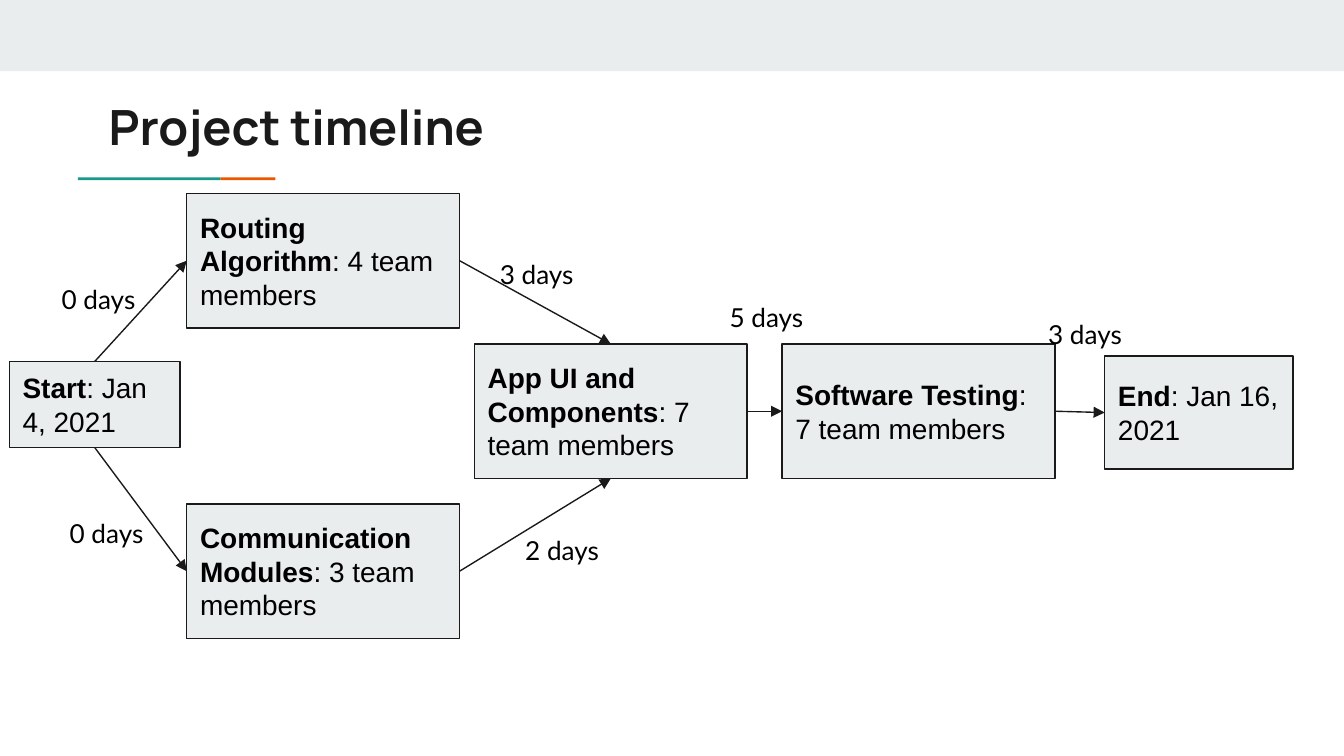
"""Build the project timeline slide: task boxes linked by arrows with durations."""
from dataclasses import dataclass

from lxml import etree
from pptx import Presentation
from pptx.dml.color import RGBColor
from pptx.enum.shapes import MSO_CONNECTOR, MSO_SHAPE
from pptx.enum.text import MSO_ANCHOR, PP_ALIGN
from pptx.oxml.ns import qn
from pptx.shapes.autoshape import Shape
from pptx.slide import Slide
from pptx.util import Inches, Pt

RECTANGLE = MSO_SHAPE.RECTANGLE
STRAIGHT = MSO_CONNECTOR.STRAIGHT
TOP_ANCHOR = MSO_ANCHOR.TOP
MIDDLE_ANCHOR = MSO_ANCHOR.MIDDLE
ALIGN_LEFT = PP_ALIGN.LEFT
TOP, LEFT, BOTTOM, RIGHT = range(4)

COLORS = {
    "panel": "E9EDEE",
    "ink": "1A1A1A",
    "text": "000000",
    "teal": "1A9988",
    "orange": "EB5600",
}
TITLE_FORMAT = {"name": "Manrope", "size": Pt(26), "bold": True}
TASK_FORMAT = {"name": "Arial", "size": Pt(15)}
DURATION_FORMAT = {"name": "Lato", "size": Pt(14), "bold": False}
MARGINS = ("margin_left", "margin_top", "margin_right", "margin_bottom")
LINE_WIDTH = Pt(0.75)


@dataclass(frozen=True)
class Area:
    left: float
    top: float
    width: float
    height: float

    def lengths(self) -> list[int]:
        return [Inches(v) for v in (self.left, self.top, self.width, self.height)]


@dataclass(frozen=True)
class Task:
    name: str
    detail: str
    area: Area


@dataclass(frozen=True)
class Link:
    source: str
    source_side: int
    target: str
    target_side: int


@dataclass(frozen=True)
class Duration:
    text: str
    area: Area


TASKS = [
    Task("Start", "Jan 4, 2021", Area(0.07, 2.69, 1.27, 0.64)),
    Task("Communication Modules", "3 team members", Area(1.39, 3.75, 2.03, 1)),
    Task("Routing Algorithm", "4 team members", Area(1.39, 1.44, 2.03, 1)),
    Task("App UI and Components", "7 team members", Area(3.53, 2.56, 2.03, 1)),
    Task("Software Testing", "7 team members", Area(5.82, 2.56, 2.03, 1)),
    Task("End", "Jan 16, 2021", Area(8.22, 2.65, 1.4, 0.84)),
]
LINKS = [
    Link("Start", TOP, "Routing Algorithm", LEFT),
    Link("Start", BOTTOM, "Communication Modules", LEFT),
    Link("Routing Algorithm", RIGHT, "App UI and Components", TOP),
    Link("Communication Modules", RIGHT, "App UI and Components", BOTTOM),
    Link("App UI and Components", RIGHT, "Software Testing", LEFT),
    Link("Software Testing", RIGHT, "End", LEFT),
]
DURATIONS = [
    Duration("3 days", Area(3.62, 1.82, 0.92, 0.74)),
    Duration("2 days", Area(3.81, 3.88, 0.86, 0.36)),
    Duration("5 days", Area(5.33, 2.14, 1.27, 0.84)),
    Duration("3 days", Area(7.7, 2.27, 0.92, 0.3)),
    Duration("0 days", Area(0.36, 2.01, 8.03, 0.94)),
    Duration("0 days", Area(0.42, 3.75, 8.03, 0.94)),
]


def color(key: str) -> RGBColor:
    """Return the named colour."""
    return RGBColor.from_string(COLORS[key])


def write(box: Shape, runs: list[tuple[str, dict]], ink: str, anchor: MSO_ANCHOR) -> None:
    """Fill a shape with one left-aligned paragraph of formatted runs."""
    frame = box.text_frame
    frame_format = {"word_wrap": True, "vertical_anchor": anchor}
    frame_format |= {margin: Inches(0.1) for margin in MARGINS}
    for attribute, value in frame_format.items():
        setattr(frame, attribute, value)
    paragraph = frame.paragraphs[0]
    paragraph.alignment = ALIGN_LEFT
    for text, font_format in runs:
        run = paragraph.add_run()
        run.text = text
        run.font.color.rgb = color(ink)
        for attribute, value in font_format.items():
            setattr(run.font, attribute, value)


def add_block(slide: Slide, area: Area, fill: str) -> Shape:
    """Draw a flat rectangle without an outline."""
    block = slide.shapes.add_shape(RECTANGLE, *area.lengths())
    block.shadow.inherit = False
    block.fill.solid()
    block.fill.fore_color.rgb = color(fill)
    block.line.fill.background()
    return block


def add_label(slide: Slide, area: Area, text: str, font_format: dict, ink: str) -> None:
    """Draw a text box with a single run."""
    label = slide.shapes.add_textbox(*area.lengths())
    write(label, [(text, font_format)], ink, TOP_ANCHOR)


def add_task(slide: Slide, task: Task) -> Shape:
    """Draw an outlined task box with a bold name and its detail."""
    box = add_block(slide, task.area, "panel")
    box.line.color.rgb = color("ink")
    box.line.width = LINE_WIDTH
    runs = [
        (task.name, TASK_FORMAT | {"bold": True}),
        (f": {task.detail}", TASK_FORMAT | {"bold": False}),
    ]
    write(box, runs, "text", MIDDLE_ANCHOR)
    return box


def add_link(slide: Slide, link: Link, boxes: dict[str, Shape]) -> None:
    """Draw an arrow glued to the sides of two task boxes."""
    arrow = slide.shapes.add_connector(STRAIGHT, 0, 0, 0, 0)
    arrow.begin_connect(boxes[link.source], link.source_side)
    arrow.end_connect(boxes[link.target], link.target_side)
    arrow.line.color.rgb = color("ink")
    arrow.line.width = LINE_WIDTH
    etree.SubElement(arrow.get_or_add_ln(), qn("a:tailEnd"), type="triangle")
    etree.SubElement(arrow.element.spPr, qn("a:effectLst"))


def main() -> None:
    """Assemble and save the slide."""
    deck = Presentation()
    deck.slide_width = Inches(10)
    deck.slide_height = deck.slide_width * 9 // 16
    slide = deck.slides.add_slide(deck.slide_layouts[6])

    add_block(slide, Area(0, 0, 10, 0.53), "panel")
    add_block(slide, Area(1.64, 1.32, 0.41, 0.02), "orange")
    add_block(slide, Area(0.58, 1.32, 1.06, 0.02), "teal")
    add_label(slide, Area(0.71, 0.62, 8.41, 0.59), "Project timeline", TITLE_FORMAT, "ink")

    boxes = {task.name: add_task(slide, task) for task in TASKS}
    for link in LINKS:
        add_link(slide, link, boxes)
    for duration in DURATIONS:
        add_label(slide, duration.area, duration.text, DURATION_FORMAT, "text")

    deck.save("out.pptx")


if __name__ == "__main__":
    main()
